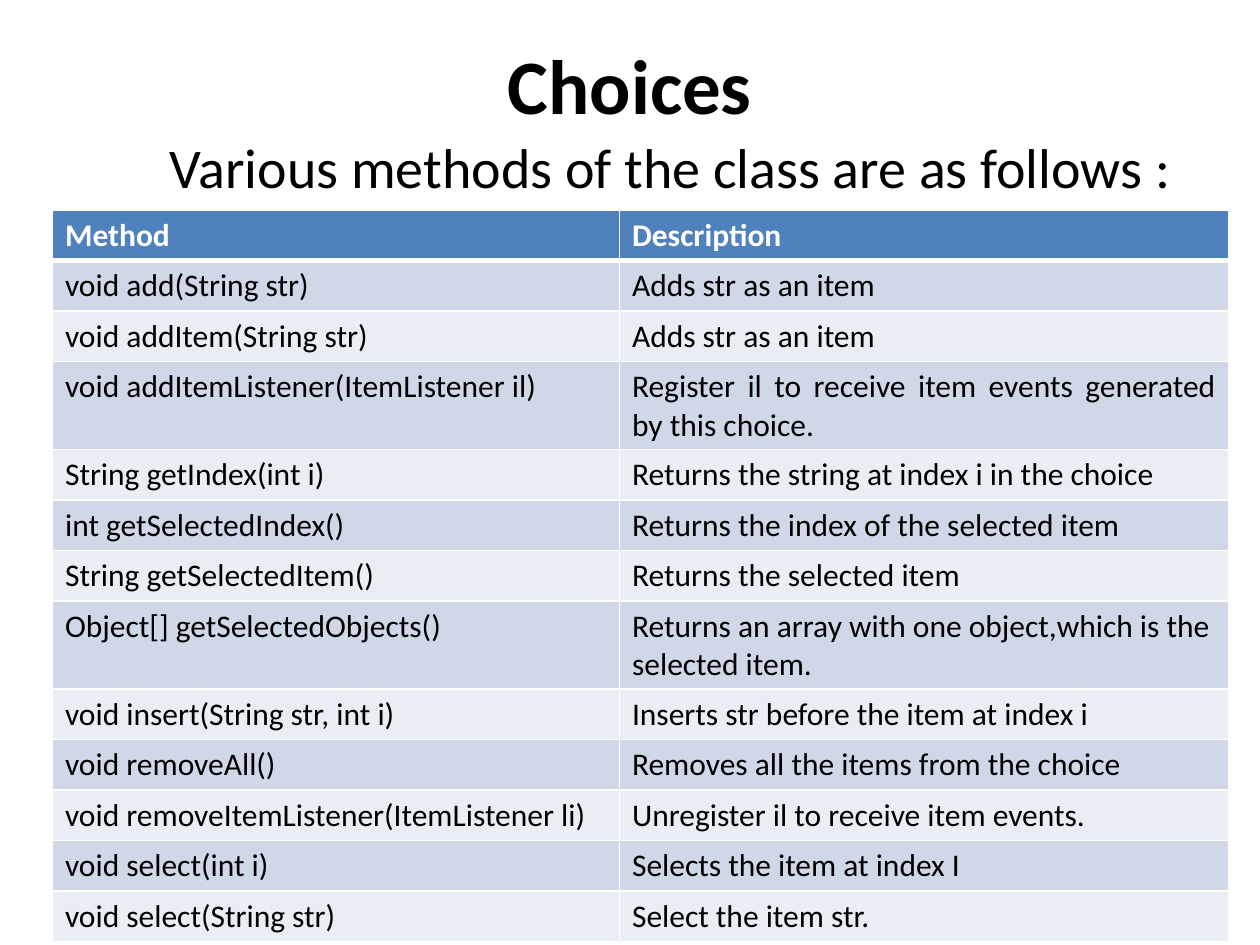
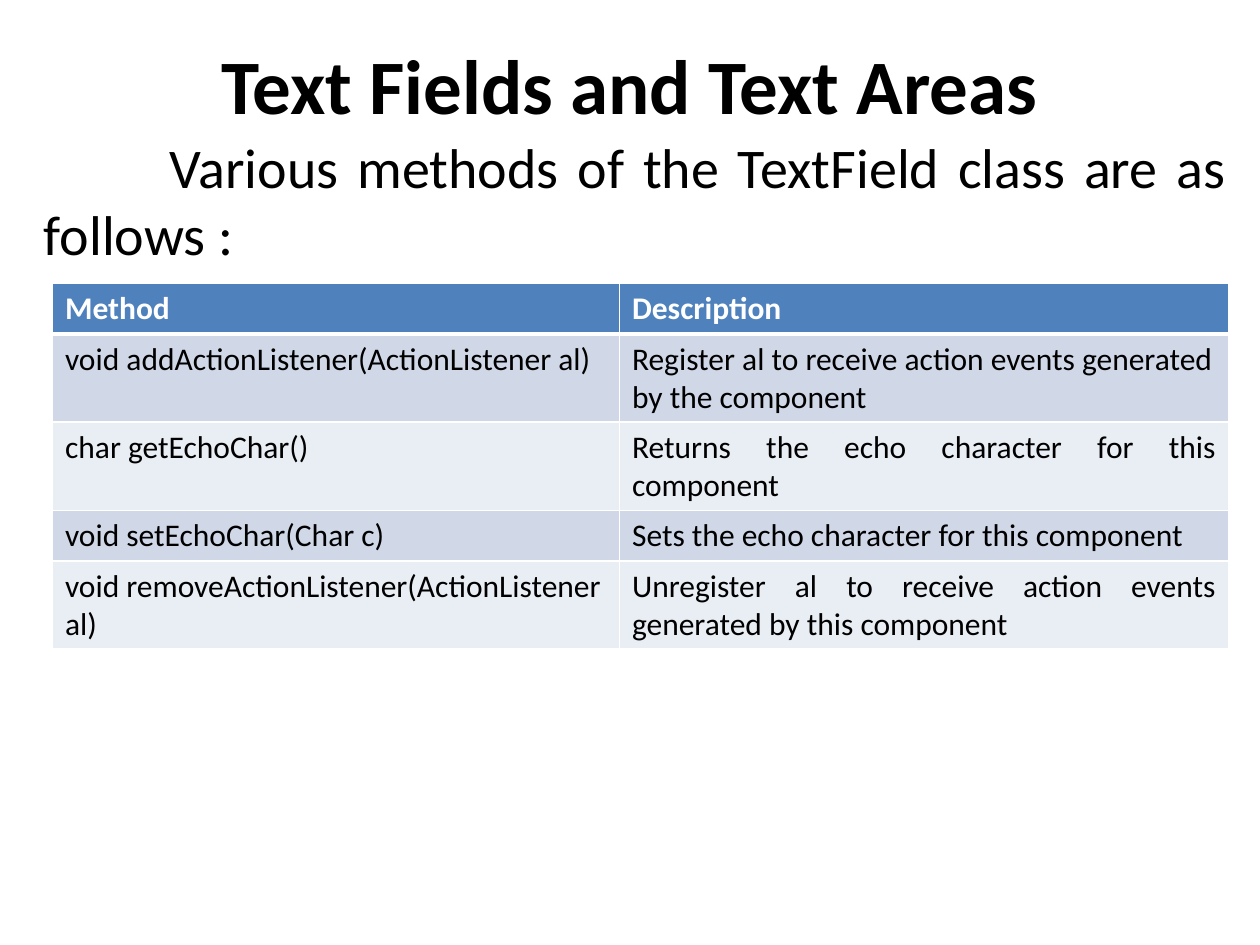
from lxml.etree import SubElement
from pptx import Presentation
from pptx.dml.color import RGBColor
from pptx.enum.text import MSO_ANCHOR, PP_ALIGN
from pptx.oxml.ns import qn
from pptx.util import Pt

FONT = "Calibri"
BLACK, WHITE = "000000", "FFFFFF"
HEADER, BANDS = "4F81BD", ("D0D8E8", "E9EDF4")
LEFT, CENTER, JUSTIFY = PP_ALIGN.LEFT, PP_ALIGN.CENTER, PP_ALIGN.JUSTIFY
COL_WIDTHS = (324, 348)
ROW_HEIGHT = 26.7

# Each row: method, description and, where it is not left, the description's alignment
CHOICE_METHODS = [
    ("void add(String str)", "Adds str as an item"),
    ("void addItem(String str)", "Adds str as an item"),
    ("void addItemListener(ItemListener il)",
     "Register il to receive item events generated by this choice.", JUSTIFY),
    ("String getIndex(int i)", "Returns the string at index i in the choice"),
    ("int getSelectedIndex()", "Returns the index of the selected item", JUSTIFY),
    ("String getSelectedItem()", "Returns the selected item"),
    ("Object[] getSelectedObjects()",
     "Returns an array with one object,which is the selected item."),
    ("void insert(String str, int i)", "Inserts str before the item at index i"),
    ("void removeAll()", "Removes all the items from the choice"),
    ("void removeItemListener(ItemListener li)", "Unregister il to receive item events."),
    ("void select(int i)", "Selects the item at index I"),
    ("void select(String str)", "Select the item str."),
]
TEXT_FIELD_METHODS = [
    ("void addActionListener(ActionListener al)",
     "Register al to receive action events generated by the component"),
    ("char getEchoChar()", "Returns the echo character for this component", JUSTIFY),
    ("void setEchoChar(Char c)", "Sets the echo character for this component", JUSTIFY),
    ("void removeActionListener(ActionListener al)",
     "Unregister al to receive action events generated by this component", JUSTIFY),
]


def rgb(color):
    return RGBColor.from_string(color)


class Deck:
    def __init__(self):
        self.prs = Presentation()
        self.prs.slide_width, self.prs.slide_height = Pt(720), Pt(540)

    def new_slide(self):
        self.s = self.prs.slides.add_slide(self.prs.slide_layouts[6])

    def set_text(self, tf, text, size, color=BLACK, bold=False, align=LEFT):
        p = tf.paragraphs[0]
        p.text, p.alignment = text, align
        font = p.runs[0].font
        font.name, font.size, font.bold = FONT, Pt(size), bold
        font.color.rgb = rgb(color)
        return p

    def text_box(self, x, y, w, h):
        tf = self.s.shapes.add_textbox(Pt(x), Pt(y), Pt(w), Pt(h)).text_frame
        tf.word_wrap = True
        return tf

    def title(self, text):
        tf = self.text_box(0, 12, 720, 72)
        tf.vertical_anchor = MSO_ANCHOR.MIDDLE
        self.set_text(tf, text, 44, bold=True, align=CENTER)

    def intro(self, text, height):
        p = self.set_text(self.text_box(18, 72, 690, height), text, 32, align=JUSTIFY)
        p._p.get_or_add_pPr().set("indent", str(Pt(72)))

    def borders(self, cell, top, bottom):
        """Draw white cell borders; top and bottom are widths in points."""
        tc_pr = cell._tc.get_or_add_tcPr()
        for side, width in (("L", 1), ("R", 1), ("T", top), ("B", bottom)):
            ln = SubElement(tc_pr, qn("a:ln" + side), w=str(Pt(width)))
            SubElement(SubElement(ln, qn("a:solidFill")), qn("a:srgbClr"), val=WHITE)

    def method_table(self, top, methods):
        rows = [("Method", "Description"), *methods]
        table = self.s.shapes.add_table(
            len(rows), 2, Pt(30), Pt(top), Pt(sum(COL_WIDTHS)), Pt(ROW_HEIGHT * len(rows))).table
        for column, width in zip(table.columns, COL_WIDTHS):
            column.width = Pt(width)
        for i, (method, description, *align) in enumerate(rows):
            table.rows[i].height = Pt(ROW_HEIGHT)
            head = i == 0
            aligns = (LEFT, align[0] if align else LEFT)
            for cell, text, al in zip(table.rows[i].cells, (method, description), aligns):
                self.set_text(cell.text_frame, text, 18, WHITE if head else BLACK, head, al)
                self.borders(cell, 3 if i == 1 else 1, 3 if head else 1)
                cell.fill.solid()
                cell.fill.fore_color.rgb = rgb(HEADER if head else BANDS[(i - 1) % 2])


def main():
    deck = Deck()
    for title, intro, intro_height, table_top, methods in (
        ("Choices", "Various methods of the class are as follows :",
         46, 120, CHOICE_METHODS),
        ("Text Fields and Text Areas", "Various methods of the TextField class are as follows :",
         85, 162, TEXT_FIELD_METHODS),
    ):
        deck.new_slide()
        deck.title(title)
        deck.intro(intro, intro_height)
        deck.method_table(table_top, methods)
    deck.prs.save("out.pptx")


if __name__ == "__main__":
    main()
